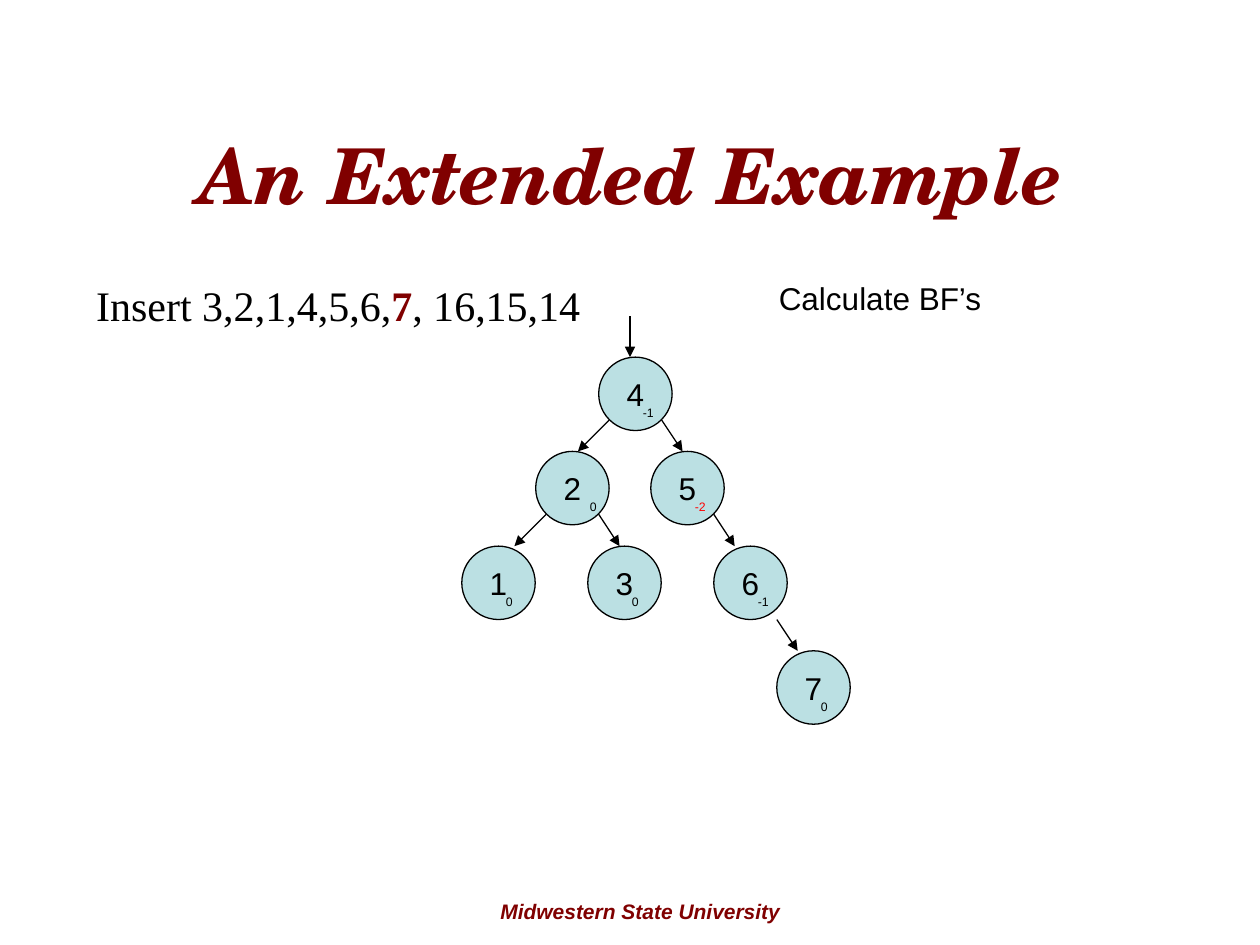
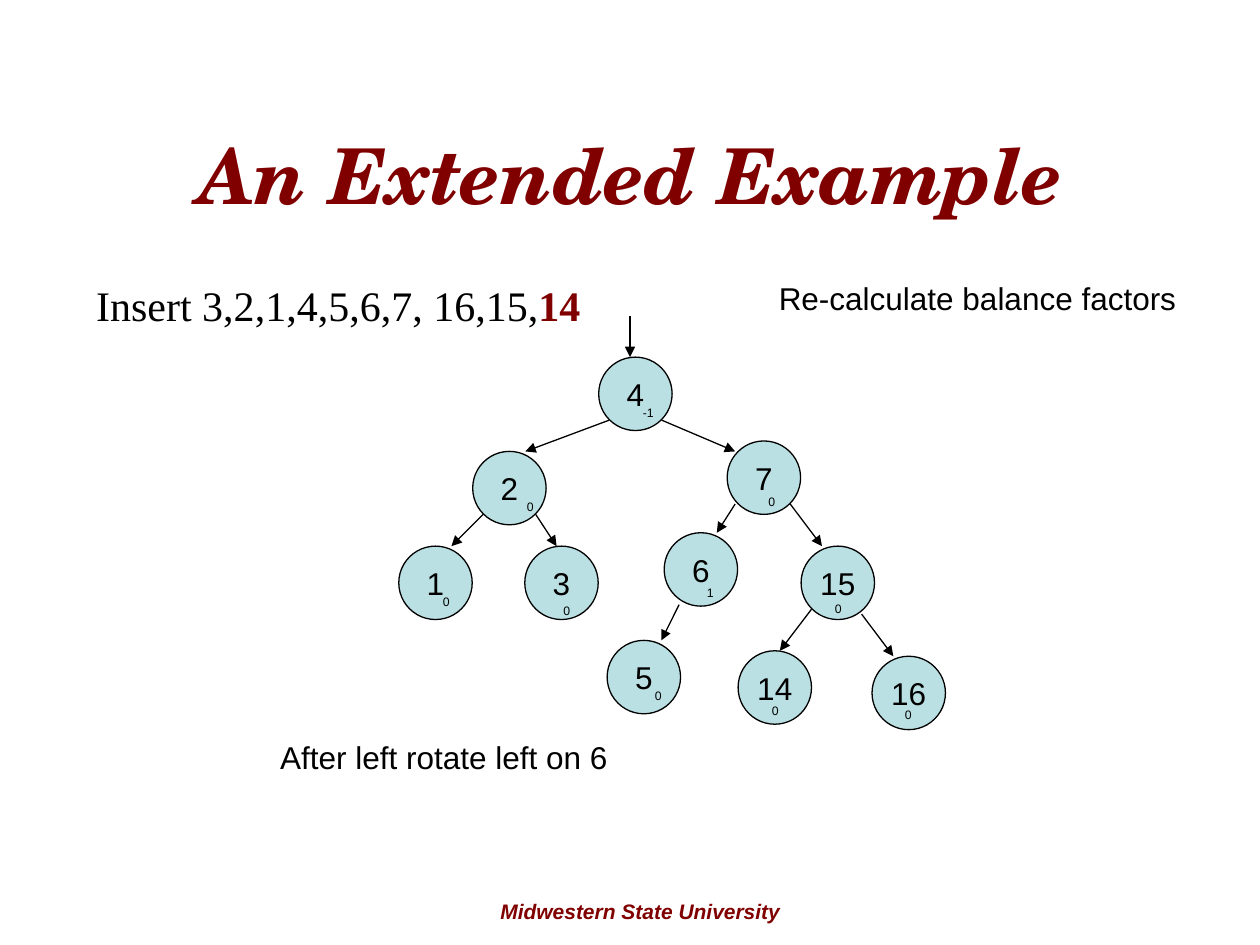
"""Build two slides that show balance factors while keys enter an AVL tree."""
from dataclasses import dataclass

from lxml import etree
from pptx import Presentation
from pptx import util as u
from pptx.dml.color import RGBColor
from pptx.enum import shapes, text
from pptx.oxml import ns
from pptx.slide import Slide


@dataclass(frozen=True)
class Theme:
    """Colours, fonts, type sizes and line weight."""
    maroon: str = "800000"
    ink: str = "000000"
    alert: str = "FF0000"
    node_fill: str = "BBE0E3"
    sans: str = "Arial"
    serif: str = "Times New Roman"
    display: str = "TeX Gyre Schola"
    title_size: float = 44
    insert_size: float = 24
    label_size: float = 18
    footer_size: float = 12
    balance_size: float = 7
    line_width: float = 0.75


THEME = Theme()
DIAMETER = 1.48
LEFT_EXIT, RIGHT_EXIT = (0.21, 1.27), (1.27, 1.27)


@dataclass(frozen=True)
class Span:
    """A run of text and its look."""
    words: str
    size: float = THEME.label_size
    font: str = THEME.sans
    colour: str = THEME.ink
    bold: bool = False
    italic: bool = False


@dataclass(frozen=True)
class Area:
    """A rectangle in centimetres."""
    left: float
    top: float
    width: float
    height: float

    def lengths(self) -> tuple[u.Length, ...]:
        """Give the rectangle as slide lengths."""
        return tuple(u.Cm(n) for n in (self.left, self.top, self.width, self.height))


@dataclass(frozen=True)
class Node:
    """A tree node, with arrow ends and balance label relative to circles."""
    key: int
    left: float
    top: float
    balance: int
    parent: int | None = None
    arrive: tuple[float, float] = (0.64, 0)
    depart: tuple[float, float] | None = None
    badge: tuple[float, float] = (0.64, 0.85)
    balance_colour: str = THEME.ink


@dataclass(frozen=True)
class Step:
    """One slide: the key being inserted, a caption and the tree."""
    before: str
    current: str
    after: str
    caption: str
    nodes: tuple[Node, ...]
    remark: str = ""


TITLE_AREA = Area(1.27, 1.91, 22.86, 3.18)
INSERT_AREA = Area(1.69, 5.5, 17.99, 1.27)
CAPTION_AREA = Area(15.45, 5.5, 8.89, 1.02)
REMARK_AREA = Area(5.4, 14.76, 8.04, 1.02)
FOOTER_AREA = Area(8.89, 17.99, 8.04, 0.76)

STEPS = (
    Step("3,2,1,4,5,6,", "7", ", 16,15,14", "Calculate BF’s", (
        Node(4, 12.07, 7.2, -1),
        Node(2, 10.8, 9.1, 0, 4, (0.85, 0), badge=(0.84, 0.85)),
        Node(5, 13.12, 9.1, -2, 4, balance_colour=THEME.alert),
        Node(1, 9.31, 11.01, 0, 2, (1.06, 0)),
        Node(3, 11.85, 11.01, 0, 2),
        Node(6, 14.39, 11.01, -1, 5, (0.42, 0)),
        Node(7, 15.66, 13.12, 0, 6, (0.42, 0), (1.27, 1.48)),
    )),
    Step("3,2,1,4,5,6,7, 16,15,", "14", "", "Re-calculate balance factors", (
        Node(4, 12.07, 7.2, -1),
        Node(2, 9.53, 9.1, 0, 4, (1.06, 0), badge=(0.84, 0.85)),
        Node(7, 14.66, 8.89, 0, 4, (0.16, 0.21), badge=(0.58, 0.94)),
        Node(1, 8.04, 11.01, 0, 2, (1.06, 0)),
        Node(3, 10.58, 11.01, 0, 2, badge=(0.53, 1.02)),
        Node(6, 13.39, 10.74, 1, 7, (1.06, 0), (0.16, 1.27), (0.61, 0.94)),
        Node(15, 16.15, 11.01, 0, 7, (0.42, 0), badge=(0.43, 0.99)),
        Node(5, 12.24, 12.91, 0, 6, (1.09, 0), (0.3, 1.45), (0.71, 0.84)),
        Node(14, 14.88, 13.12, 0, 15, (0.84, 0), badge=(0.43, 0.94)),
        Node(16, 17.58, 13.23, 0, 15, (0.43, 0), (1.22, 1.37), (0.41, 0.91)),
    ), "After left rotate left on 6"),
)


def write(frame, spans: list[Span], centred: bool = False) -> None:
    """Fill the first paragraph of a frame run by run."""
    para = frame.paragraphs[0]
    para.alignment = text.PP_ALIGN.CENTER if centred else text.PP_ALIGN.LEFT
    for span in spans:
        run = para.add_run()
        run.text = span.words
        run.font.name = span.font
        run.font.size = u.Pt(span.size)
        run.font.bold = span.bold
        run.font.italic = span.italic
        run.font.color.rgb = RGBColor.from_string(span.colour)


def add_text(page: Slide, area: Area, spans: list[Span], centred: bool = False) -> None:
    """Add a wrapping text box."""
    box = page.shapes.add_textbox(*area.lengths())
    box.text_frame.word_wrap = True
    box.text_frame.auto_size = text.MSO_AUTO_SIZE.SHAPE_TO_FIT_TEXT
    write(box.text_frame, spans, centred)


def style_line(line) -> None:
    """Give a line the shared colour and weight."""
    line.color.rgb = RGBColor.from_string(THEME.ink)
    line.width = u.Pt(THEME.line_width)


def add_arrow(page: Slide, start: tuple[float, float], end: tuple[float, float]) -> None:
    """Add a straight arrow between two points in centimetres."""
    arrow = page.shapes.add_connector(
        shapes.MSO_CONNECTOR.STRAIGHT, *(u.Cm(n) for n in (*start, *end)))
    style_line(arrow.line)
    properties = arrow.element.spPr
    head = etree.SubElement(properties.find(ns.qn("a:ln")), ns.qn("a:tailEnd"))
    head.set("type", "triangle")
    etree.SubElement(properties, ns.qn("a:effectLst"))


def add_node(page: Slide, node: Node) -> None:
    """Add the circle with its key."""
    area = Area(node.left, node.top, DIAMETER, DIAMETER)
    circle = page.shapes.add_shape(shapes.MSO_SHAPE.OVAL, *area.lengths())
    circle.shadow.inherit = False
    circle.fill.solid()
    circle.fill.fore_color.rgb = RGBColor.from_string(THEME.node_fill)
    style_line(circle.line)
    circle.text_frame.word_wrap = False
    circle.text_frame.vertical_anchor = text.MSO_ANCHOR.MIDDLE
    write(circle.text_frame, [Span(str(node.key))], centred=True)


def add_edge(page: Slide, parent: Node, child: Node) -> None:
    """Add the arrow from a parent to its child."""
    side = LEFT_EXIT if child.key < parent.key else RIGHT_EXIT
    out_x, out_y = child.depart or side
    in_x, in_y = child.arrive
    add_arrow(page, (parent.left + out_x, parent.top + out_y),
              (child.left + in_x, child.top + in_y))


def add_balance(page: Slide, node: Node) -> None:
    """Add the small balance factor inside a node."""
    shift_x, shift_y = node.badge
    area = Area(node.left + shift_x, node.top + shift_y, 0.84, 0.56)
    add_text(page, area, [Span(str(node.balance), THEME.balance_size,
                               colour=node.balance_colour)])


def add_tree(page: Slide, nodes: tuple[Node, ...]) -> None:
    """Draw circles, arrows and balance factors."""
    by_key = {node.key: node for node in nodes}
    for node in nodes:
        add_node(page, node)
    add_arrow(page, (12.7, 6.38), (12.7, 7.2))
    for node in nodes:
        if node.parent is not None:
            add_edge(page, by_key[node.parent], node)
        add_balance(page, node)


def add_frame(page: Slide) -> None:
    """Add the shared title and footer."""
    title = page.shapes.title
    title.left, title.top, title.width, title.height = TITLE_AREA.lengths()
    title.text_frame.vertical_anchor = text.MSO_ANCHOR.MIDDLE
    write(title.text_frame, [Span("An Extended Example", THEME.title_size, THEME.display,
                                  THEME.maroon, True, True)], centred=True)
    add_text(page, FOOTER_AREA, [Span("Midwestern State University", THEME.footer_size,
                                      THEME.sans, THEME.maroon, True, True)], centred=True)


def add_step(page: Slide, step: Step) -> None:
    """Add the insertion line, the captions and the tree."""
    size, font = THEME.insert_size, THEME.serif
    spans = [Span("Insert " + step.before, size, font),
             Span(step.current, size, font, THEME.maroon, True)]
    if step.after:
        spans.append(Span(step.after, size, font))
    add_text(page, INSERT_AREA, spans)
    add_text(page, CAPTION_AREA, [Span(step.caption)])
    if step.remark:
        add_text(page, REMARK_AREA, [Span(step.remark)])
    add_tree(page, step.nodes)


def main() -> None:
    """Build and save the deck."""
    deck = Presentation()
    deck.slide_width, deck.slide_height = u.Cm(25.4), u.Cm(19.05)
    title_only = deck.slide_layouts.get_by_name("Title Only")
    for step in STEPS:
        page = deck.slides.add_slide(title_only)
        add_frame(page)
        add_step(page, step)
    deck.save("out.pptx")


if __name__ == "__main__":
    main()
